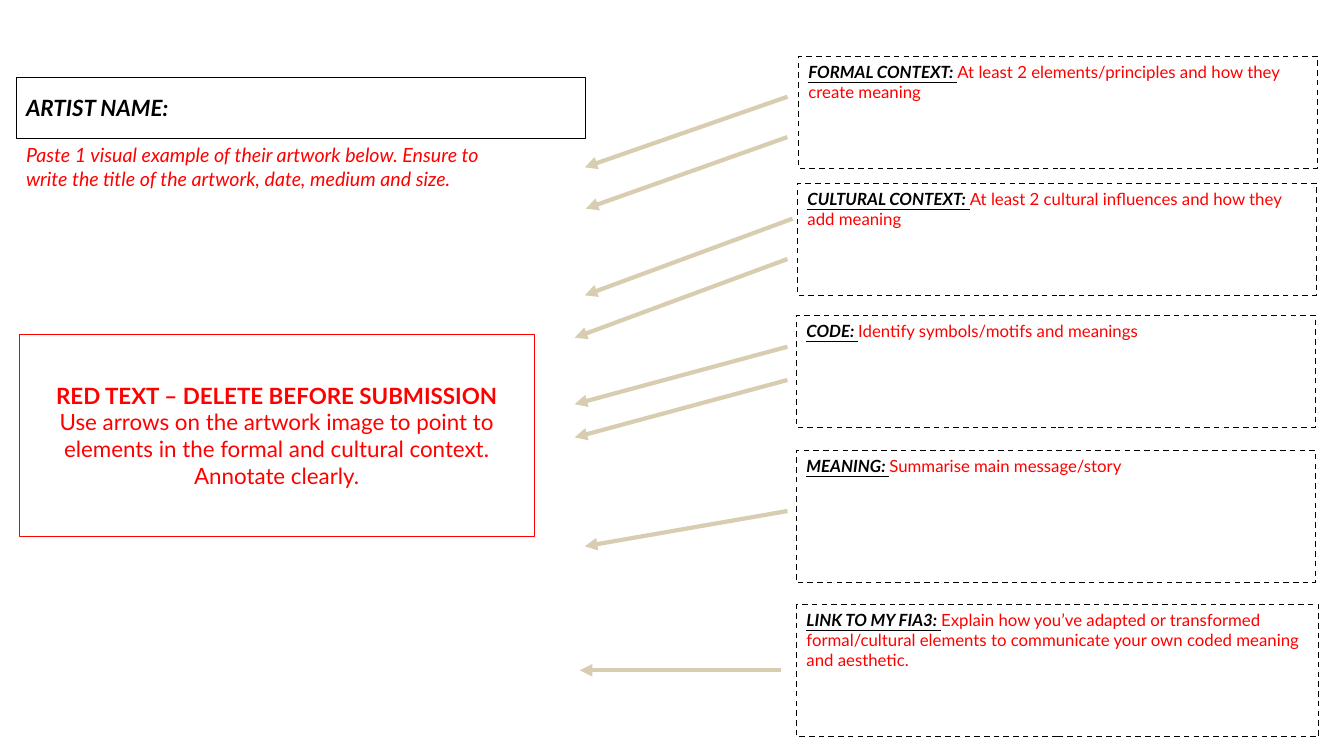
from dataclasses import dataclass

from lxml import etree
from pptx import Presentation
from pptx.dml.color import RGBColor
from pptx.enum.dml import MSO_LINE_DASH_STYLE as DASH
from pptx.enum.shapes import MSO_CONNECTOR as CONN, MSO_SHAPE as SHAPE
from pptx.enum.text import MSO_ANCHOR as ANCHOR, MSO_AUTO_SIZE as AUTO, PP_ALIGN as ALIGN
from pptx.oxml.ns import qn
from pptx.util import Inches, Pt


@dataclass(frozen=True)
class Theme:
    font: str = "Lato"
    ink: RGBColor = RGBColor(0, 0, 0)
    prompt: RGBColor = RGBColor(0xFF, 0, 0)
    arrow: RGBColor = RGBColor(0xD9, 0xCD, 0xB1)
    paper: RGBColor = RGBColor(0xFF, 0xFF, 0xFF)
    heading: int = 16
    caption: int = 14
    body: int = 12
    thin: float = 0.25
    dashed: float = 1
    arrow_width: float = 3


class Worksheet:
    """Draws the worksheet's elements on one slide in the theme's style."""

    def __init__(self, slide, theme):
        self.slide = slide
        self.theme = theme

    def style(self, r, size, color, bold=False, italic=False, underline=False):
        f = r.font
        f.name, f.size = self.theme.font, Pt(size)
        f.color.rgb = color
        f.bold, f.italic, f.underline = bold, italic, underline

    def box(self, x, y, w, h, color, width, anchor=ANCHOR.MIDDLE):
        sp = self.slide.shapes.add_shape(SHAPE.RECTANGLE, *map(Inches, (x, y, w, h)))
        sp.shadow.inherit = False
        sp.fill.solid()
        sp.fill.fore_color.rgb = self.theme.paper
        sp.line.color.rgb = color
        sp.line.width = Pt(width)
        tf = sp.text_frame
        tf.word_wrap = True
        tf.vertical_anchor = anchor
        tf.paragraphs[0].alignment = ALIGN.LEFT
        return sp

    def artist(self, text, x, y, w, h):
        t = self.theme
        p = self.box(x, y, w, h, t.ink, t.thin).text_frame.paragraphs[0]
        p.text = text
        self.style(p.runs[0], t.heading, t.ink, bold=True, italic=True)

    def caption(self, text, x, y, w, h):
        t = self.theme
        tf = self.slide.shapes.add_textbox(*map(Inches, (x, y, w, h))).text_frame
        tf.word_wrap = True
        tf.auto_size = AUTO.SHAPE_TO_FIT_TEXT
        tf.text = text
        self.style(tf.paragraphs[0].runs[0], t.caption, t.prompt, italic=True)

    def notice(self, title, text, x, y, w, h):
        t = self.theme
        tf = self.box(x, y, w, h, t.prompt, t.thin).text_frame
        tf.text = f"{title}\n{text}"
        for i, p in enumerate(tf.paragraphs):
            p.alignment = ALIGN.CENTER
            self.style(p.runs[0], t.heading, t.prompt, bold=i == 0)

    def note(self, label, prompt, x, y, w, h):
        """Dashed box holding an underlined label followed by a red prompt."""
        t = self.theme
        sp = self.box(x, y, w, h, t.ink, t.dashed, ANCHOR.TOP)
        sp.line.dash_style = DASH.DASH
        p = sp.text_frame.paragraphs[0]
        p.text = f"{label} "
        self.style(p.runs[0], t.body, t.ink, bold=True, italic=True, underline=True)
        r = p.add_run()
        r.text = prompt
        self.style(r, t.body, t.prompt)

    def arrow(self, x1, y1, x2, y2):
        cx = self.slide.shapes.add_connector(CONN.STRAIGHT, *map(Inches, (x1, y1, x2, y2)))
        cx.line.color.rgb = self.theme.arrow
        cx.line.width = Pt(self.theme.arrow_width)
        etree.SubElement(cx.line._get_or_add_ln(), qn("a:tailEnd"), type="triangle")
        etree.SubElement(cx._element.spPr, qn("a:effectLst"))


NOTES = [
    ("FORMAL CONTEXT:", "At least 2 elements/principles and how they create meaning",
     7.92, 0.56, 5.15, 1.11),
    ("CULTURAL CONTEXT:", "At least 2 cultural influences and how they add meaning",
     7.91, 1.82, 5.15, 1.11),
    ("CODE:", "Identify symbols/motifs and meanings", 7.9, 3.13, 5.15, 1.11),
    ("MEANING:", "Summarise main message/story", 7.9, 4.47, 5.15, 1.31),
    ("LINK TO MY FIA3:", "Explain how you’ve adapted or transformed formal/cultural "
     "elements to communicate your own coded meaning and aesthetic.", 7.9, 6, 5.18, 1.31),
]

ARROWS = [
    (7.81, 0.96, 5.8, 1.66),
    (7.81, 1.36, 5.81, 2.07),
    (7.86, 2.17, 5.8, 2.93),
    (7.81, 2.57, 5.7, 3.35),
    (7.81, 3.44, 5.7, 4.01),
    (7.81, 3.77, 5.7, 4.34),
    (7.81, 5.07, 5.8, 5.42),
    (7.75, 6.65, 5.75, 6.65),
]


def main():
    prs = Presentation()
    prs.slide_width, prs.slide_height = Inches(13.33), Inches(7.5)
    sheet = Worksheet(prs.slides.add_slide(prs.slide_layouts[6]), Theme())

    sheet.artist("ARTIST NAME:", 0.16, 0.77, 5.64, 0.6)
    sheet.caption("Paste 1 visual example of their artwork below. Ensure to write "
                  "the title of the artwork, date, medium and size.",
                  0.16, 1.37, 5.11, 0.57)
    sheet.notice("RED TEXT – DELETE BEFORE SUBMISSION",
                 "Use arrows on the artwork image to point to elements in the formal "
                 "and cultural context. Annotate clearly.", 0.19, 3.32, 5.11, 2)
    for note in NOTES:
        sheet.note(*note)
    for ends in ARROWS:
        sheet.arrow(*ends)

    prs.save("out.pptx")


if __name__ == "__main__":
    main()
